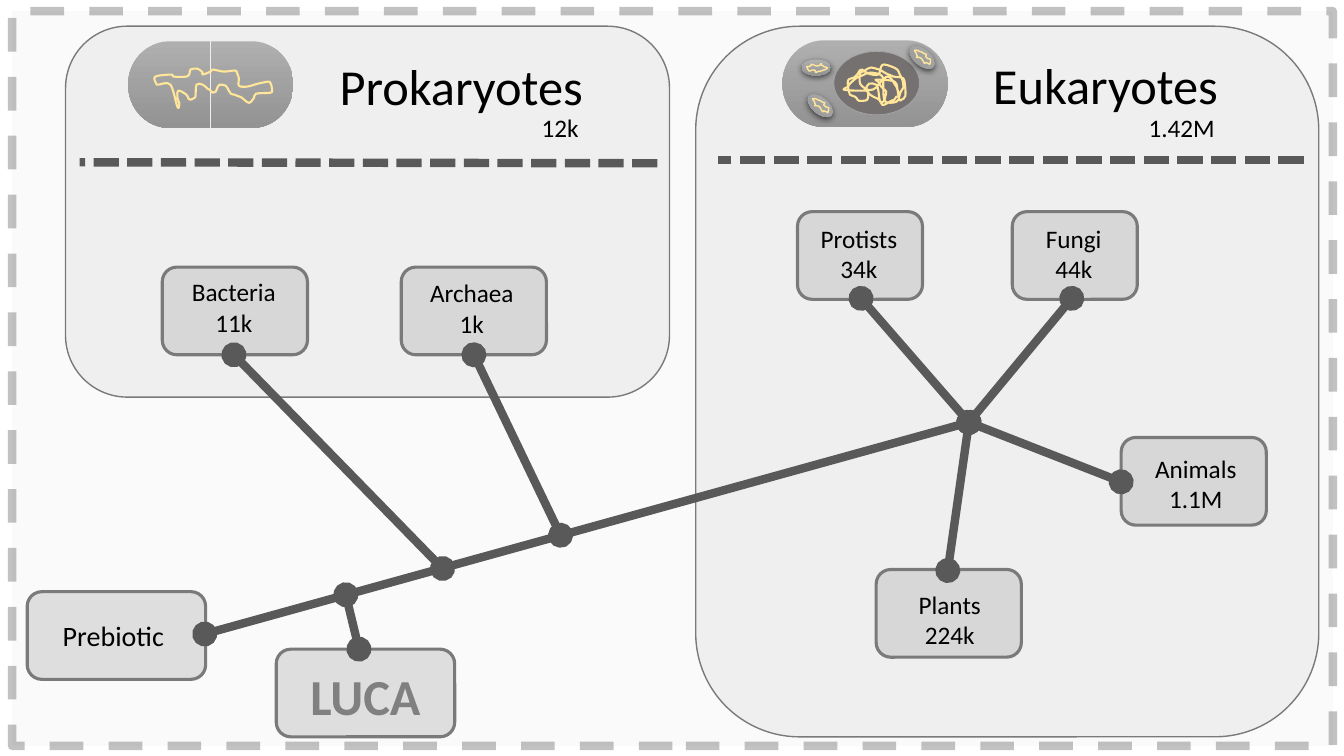
from pptx import Presentation
from pptx.dml.color import RGBColor
from pptx.enum.dml import MSO_LINE
from pptx.enum.shapes import MSO_CONNECTOR, MSO_SHAPE as SHAPE
from pptx.enum.text import MSO_ANCHOR, PP_ALIGN
from pptx.oxml.ns import qn
from pptx.util import Inches, Pt
from lxml.etree import SubElement

FONT, INK, GRAY, EDGE, BRANCH, DNA = "Calibri", "000000", "A5A5A5", "7A7A7A", "595959", "FFE699"

PANELS = [
    dict(box=(0.65, 0.26, 5.99, 3.68), title="Prokaryotes", title_at=(3.27, 0.5, 2.64, 0.71),
         count="12k", count_at=(5.27, 1.07, 0.57, 0.4), rule=((6.52, 1.62), (0.79, 1.61)), cell=(1.27, 0.41)),
    dict(box=(6.9, 0.26, 6.18, 7.05), title="Eukaryotes", title_at=(9.75, 0.49, 2.45, 0.71),
         count="1.42M", count_at=(11.29, 1.07, 0.86, 0.4), rule=((12.93, 1.59), (7.12, 1.59)), cell=(7.76, 0.4)),
]

BOX_H = 0.87
NODES = [
    (0.27, 5.87, 1.77, ["Prebiotic"], 20, False, INK, (-0.03, 0)),
    (2.74, 6.44, 1.77, ["LUCA"], 36, True, "808080", (0, 0.02)),
    (7.91, 2.1, 1.24, ["Protists", "34k"], 18, False, INK, (-0.01, -0.02)),
    (10.04, 2.1, 1.24, ["Fungi", "44k"], 18, False, INK, (-0.01, -0.02)),
    (11.12, 4.34, 1.44, ["Animals", "1.1M"], 18, False, INK, (0.02, 0.02)),
    (8.69, 5.65, 1.44, ["Plants", "224k"], 18, False, INK, (0.01, 0.06)),
    (3.98, 2.65, 1.44, ["Archaea", "1k"], 18, False, INK, (-0.02, -0.03)),
    (1.61, 2.65, 1.44, ["Bacteria", "11k"], 18, False, INK, (-0.01, -0.04)),
]

HUB = (9.61, 4.19)
BRANCHES = [
    (HUB, (2.03, 6.29)), ((3.56, 6.44), (3.43, 5.9)),
    ((8.54, 2.96), HUB), ((10.63, 2.96), HUB), ((11.12, 4.78), HUB), ((9.4, 5.66), HUB),
    ((2.32, 3.52), (4.39, 5.64)), ((4.7, 3.52), (5.56, 5.31)),
]

CHROMOSOME = [
    (69, 3), (58, 1), (56, 3), (48, 6), (48, 4), (46, 2), (42, 0), (36, 1), (35, 5), (32, 8), (19, 8),
    (17, 6), (1, 8), (2, 15), (4, 16), (16, 16), (23, 38), (25, 35), (23, 29), (24, 22), (32, 26),
    (34, 30), (36, 31), (40, 29), (41, 27), (42, 16), (48, 16), (53, 20), (55, 21), (58, 24), (61, 23),
    (63, 18), (65, 16), (71, 17), (73, 20), (76, 25), (80, 26), (82, 27), (85, 28), (87, 29), (94, 34),
    (99, 29), (101, 25), (115, 24), (117, 22), (116, 16), (115, 14), (113, 13), (103, 15), (92, 18),
    (84, 17), (84, 10), (82, 4), (80, 2)]
NUCLEAR_DNA = [
    (53, 5), (47, 2), (40, 0), (37, 2), (34, 10), (24, 9), (18, 5), (15, 7), (14, 9), (12, 11), (10, 13),
    (4, 16), (5, 27), (6, 30), (11, 32), (13, 34), (15, 36), (23, 35), (24, 28), (24, 25), (22, 24),
    (25, 19), (32, 20), (34, 25), (36, 37), (40, 36), (41, 32), (42, 27), (39, 24), (37, 22), (34, 17),
    (32, 15), (47, 16), (52, 19), (53, 24), (55, 35), (57, 35), (61, 31), (60, 16), (57, 13), (49, 12),
    (47, 11), (42, 9), (37, 6), (35, 5), (27, 3), (24, 4), (19, 7), (16, 9), (16, 19), (20, 23), (26, 30),
    (35, 35), (38, 40), (42, 39), (47, 36), (50, 35), (52, 32), (55, 31), (52, 22), (50, 19), (47, 14),
    (43, 12), (40, 14), (35, 19), (32, 23), (30, 24), (28, 25), (16, 26), (0, 25), (4, 22), (6, 19),
    (13, 13), (18, 11), (20, 10), (26, 8), (36, 10), (39, 14), (39, 18), (40, 35), (46, 38), (52, 37),
    (54, 35), (56, 28), (57, 26), (59, 23), (58, 15), (57, 13), (56, 11), (55, 9)]
PLASMID = [
    (9, 2), (6, 1), (4, 0), (1, 0), (3, 3), (3, 4), (4, 6), (3, 7), (6, 7), (8, 8), (11, 13), (12, 12),
    (15, 13), (16, 14), (17, 11), (17, 9), (14, 8), (13, 7), (12, 6), (13, 4), (10, 3)]
MITOCHONDRIA = [(7.99, 0.97, 40, 0), (7.95, 0.59, 0, 140), (9.0, 0.49, 40, 0)]

prs = Presentation()
prs.slide_width, prs.slide_height = Inches(13.33), Inches(7.5)
s = prs.slides.add_slide(prs.slide_layouts[6])


def rgb(code):
    return RGBColor.from_string(code)


def set_alpha(fill_holder, percent):
    for clr in fill_holder.iter(qn("a:srgbClr")):
        SubElement(clr, qn("a:alpha"), val=str(percent * 1000))


def add_shape(kind, box, fill=None, alpha=None, line=None, width=1):
    sp = s.shapes.add_shape(kind, *map(Inches, box))
    sp.shadow.inherit = False
    if fill:
        sp.fill.solid()
        sp.fill.fore_color.rgb = rgb(fill)
        if alpha:
            set_alpha(sp.element.spPr.find(qn("a:solidFill")), alpha)
    else:
        sp.fill.gradient()
        sp.fill.gradient_angle = 270
        for stop, code in zip(sp.fill.gradient_stops, ("AFAFAF", "939393")):
            stop.color.rgb = rgb(code)
    if line:
        sp.line.color.rgb = rgb(line)
        sp.line.width = Pt(width)
    else:
        sp.line.fill.background()
    return sp


def write(tf, lines, size, bold=False, color=INK, align=PP_ALIGN.CENTER):
    for i, text in enumerate(lines):
        p = tf.paragraphs[0] if i == 0 else tf.add_paragraph()
        p.alignment = align
        r = p.add_run()
        r.text = text
        r.font.name, r.font.size, r.font.bold = FONT, Pt(size), bold
        r.font.color.rgb = rgb(color)


def add_text(box, text, size, align):
    tf = s.shapes.add_textbox(*map(Inches, box)).text_frame
    tf.word_wrap = False
    write(tf, [text], size, align=align)


def add_line(start, end, dash=None):
    c = s.shapes.add_connector(MSO_CONNECTOR.STRAIGHT, *map(Inches, start + end))
    c.line.color.rgb = rgb(BRANCH)
    c.line.width = Pt(6)
    if dash:
        c.line.dash_style = dash
    else:
        ln = c.element.spPr.find(qn("a:ln"))
        for tag in ("a:headEnd", "a:tailEnd"):
            SubElement(ln, qn(tag), type="oval")
    SubElement(c.element.spPr, qn("a:effectLst"))


def round_off(sp):
    corners = [(int(pt.get("x")), int(pt.get("y"))) for pt in sp.element.iter(qn("a:pt"))][:-1]
    n = len(corners)
    for i, seg in enumerate(list(sp.element.iter(qn("a:lnTo")))):
        a, b, c, d = (corners[(i + k) % n] for k in (-1, 0, 1, 2))
        seg.tag = qn("a:cubicBezTo")
        seg.remove(seg[0])
        lead = [q + (r - p) / 6 for p, q, r in zip(a, b, c)]
        trail = [r - (u - q) / 6 for q, r, u in zip(b, c, d)]
        for x, y in (lead, trail, c):
            SubElement(seg, qn("a:pt"), x=str(round(x)), y=str(round(y)))


def add_loop(points, left, top, width, turn=0):
    fb = s.shapes.build_freeform(*points[0], scale=Inches(0.01))
    fb.add_line_segments(points[1:] + points[:1], close=True)
    sp = fb.convert_to_shape(Inches(left), Inches(top))
    for el in sp.element.iter(qn("a:path"), qn("a:pt")):
        for key in ("w", "h", "x", "y"):
            if el.get(key):
                el.set(key, str(int(el.get(key)) * 100))
    round_off(sp)
    sp.shadow.inherit = False
    sp.fill.background()
    sp.line.color.rgb = rgb(DNA)
    sp.line.width = Pt(width)
    sp.rotation = turn


def add_cell(left, top, half=0.82):
    add_shape(SHAPE.FLOWCHART_DELAY, (left + half, top, half, 0.86))
    sp = add_shape(SHAPE.FLOWCHART_DELAY, (left, top, half, 0.86))
    sp.element.spPr.find(qn("a:xfrm")).set("flipH", "1")


frame = add_shape(SHAPE.RECTANGLE, (0.12, 0.11, 13.1, 7.29), "AFABAB", 5, INK, 6)
frame.line.dash_style = MSO_LINE.DASH
set_alpha(frame.element.spPr.find(qn("a:ln")), 24)

for panel in PANELS:
    add_shape(SHAPE.ROUNDED_RECTANGLE, panel["box"], GRAY, 12, EDGE, 1)
    add_text(panel["title_at"], panel["title"], 36, PP_ALIGN.LEFT)
    add_text(panel["count_at"], panel["count"], 18, PP_ALIGN.CENTER)
    add_line(*panel["rule"], dash=MSO_LINE.SQUARE_DOT)
    add_cell(*panel["cell"])

for left, top, width, lines, size, bold, color, (dx, dy) in NODES:
    sp = add_shape(SHAPE.ROUNDED_RECTANGLE, (left, top, width, BOX_H), GRAY, 32, EDGE, 2.25)
    tf = sp.text_frame
    tf.vertical_anchor = MSO_ANCHOR.MIDDLE
    tf.margin_left, tf.margin_right = Inches(max(2 * dx, 0)), Inches(max(-2 * dx, 0))
    tf.margin_top, tf.margin_bottom = Inches(max(2 * dy, 0)), Inches(max(-2 * dy, 0))
    write(tf, lines, size, bold, color)

for start, end in BRANCHES:
    add_line(start, end)

add_loop(CHROMOSOME, 1.53, 0.68, 1.5)
add_shape(SHAPE.OVAL, (8.27, 0.51, 0.85, 0.63), "767171", line=GRAY, width=0.5)
add_loop(NUCLEAR_DNA, 8.37, 0.64, 1.5)
for left, top, tilt, turn in MITOCHONDRIA:
    sp = add_shape(SHAPE.OVAL, (left, top, 0.29, 0.16))
    sp.rotation = tilt
    shade = SubElement(sp.element.spPr.find(qn("a:effectLst")), qn("a:outerShdw"), blurRad=str(Pt(4.5)),
                       dist=str(Pt(1.5)), dir="5400000", rotWithShape="0")
    SubElement(shade, qn("a:srgbClr"), val=INK)
    set_alpha(shade, 63)
    add_loop(PLASMID, left + 0.06, top + 0.01, 1, turn)

prs.save("out.pptx")
